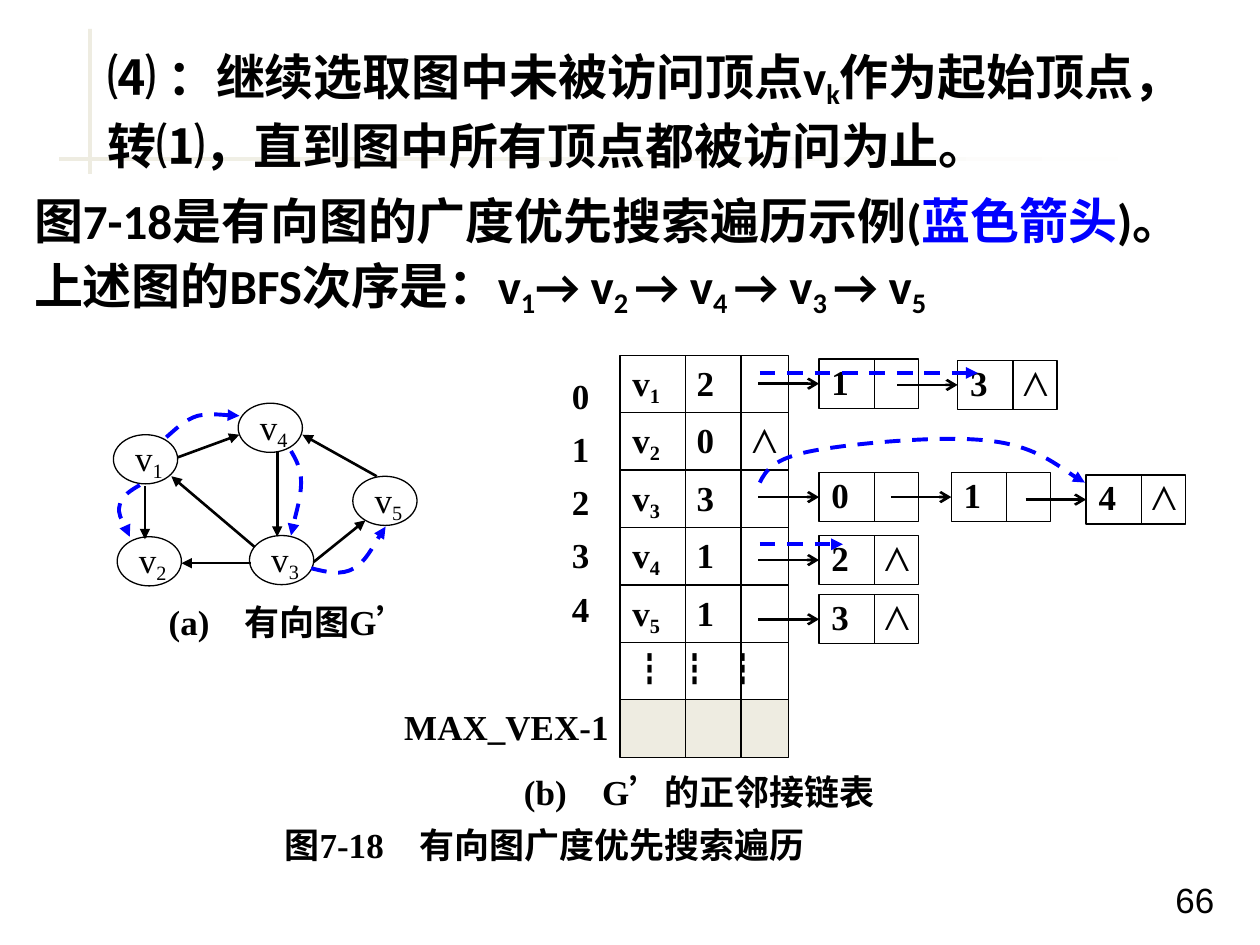
from dataclasses import dataclass
from typing import Optional

from lxml import etree
from pptx import Presentation
from pptx import util as u
from pptx.dml.color import RGBColor
from pptx.enum import dml, shapes, text
from pptx.oxml.ns import qn

BLACK = RGBColor(0x00, 0x00, 0x00)
BLUE = RGBColor(0x00, 0x00, 0xFF)
BEIGE = RGBColor(0xEE, 0xEC, 0xE1)
WHITE = RGBColor(0xFF, 0xFF, 0xFF)
SERIF, SANS, CHINESE = "Times New Roman", "Calibri", "Noto Sans CJK SC"

TABLE_LEFT, TABLE_TOP, TABLE_WIDTH = 4.92, 2.82, 1.34
ROW_HEIGHT = 3.19 / 7
NODE_WIDTH, NODE_HEIGHT, LINK_LENGTH = 0.79, 0.39, 0.48


@dataclass
class Run:
    text: str
    font: str = SERIF
    color: RGBColor = BLACK
    bold: bool = True
    baseline: int = 0


@dataclass
class ListNode:
    left: float
    top: float
    value: str
    last: bool = False


@dataclass
class Vertex:
    left: float
    top: float
    number: str


@dataclass
class Caption:
    box: tuple
    text: str
    tab: Optional[float] = None


def write(paragraph, runs: list[Run], *, size: float = 20, spacing: float = 0.9,
          before: float = 0, indent: Optional[float] = None, tabs: tuple = ()) -> None:
    paragraph.alignment = text.PP_ALIGN.LEFT
    paragraph.line_spacing = spacing
    paragraph.space_before = u.Pt(before)
    properties = paragraph._p.get_or_add_pPr()
    if indent is not None:
        properties.set("marL", str(u.Inches(indent)))
        properties.set("indent", "0")
        etree.SubElement(properties, qn("a:buNone"))
    if tabs:
        tab_list = etree.SubElement(properties, qn("a:tabLst"))
        for position in tabs:
            etree.SubElement(tab_list, qn("a:tab"), pos=str(u.Inches(position)), algn="l")
    for item in runs:
        run = paragraph.add_run()
        run.text = item.text
        run.font.size = u.Pt(size)
        run.font.bold = item.bold
        run.font.color.rgb = item.color
        run.font.name = item.font
        run_properties = run._r.get_or_add_rPr()
        etree.SubElement(run_properties, qn("a:ea"), typeface=CHINESE)
        if item.baseline:
            run_properties.set("baseline", str(item.baseline * 1000))


def subscript(number: str, **style) -> list[Run]:
    return [Run("v", **style), Run(number, baseline=-20, **style)]


def add_text(slide, box: tuple, runs: list[Run], **style):
    text_box = slide.shapes.add_textbox(*map(u.Inches, box))
    text_box.text_frame.vertical_anchor = text.MSO_ANCHOR.MIDDLE
    text_box.text_frame.word_wrap = False
    write(text_box.text_frame.paragraphs[0], runs, **style)
    return text_box


def add_box(slide, box: tuple, kind=shapes.MSO_SHAPE.RECTANGLE, fill=None, outlined=True):
    shape = slide.shapes.add_shape(kind, *map(u.Inches, box))
    shape.shadow.inherit = False
    if fill is None:
        shape.fill.background()
    else:
        shape.fill.solid()
        shape.fill.fore_color.rgb = fill
    if outlined:
        shape.line.color.rgb = BLACK
        shape.line.width = u.Pt(0.75)
    else:
        shape.line.fill.background()
    shape.text_frame.vertical_anchor = text.MSO_ANCHOR.MIDDLE
    shape.text_frame.word_wrap = False
    return shape


def style_line(shape, color: RGBColor, width: float, tail: Optional[str], dashed: bool) -> None:
    shape.line.color.rgb = color
    shape.line.width = u.Pt(width)
    if dashed:
        shape.line.dash_style = dml.MSO_LINE.DASH
    if tail:
        etree.SubElement(shape._element.spPr.find(qn("a:ln")), qn("a:tailEnd"), type=tail)


def add_line(slide, start: tuple, end: tuple, color=BLACK, width=1.5, tail=None, dashed=False):
    line = slide.shapes.add_connector(
        shapes.MSO_CONNECTOR.STRAIGHT, *map(u.Inches, start + end))
    style_line(line, color, width, tail, dashed)
    etree.SubElement(line._element.spPr, qn("a:effectLst"))
    return line


def add_curve(slide, points: list[tuple]) -> None:
    start, *controls = [(u.Inches(x), u.Inches(y)) for x, y in points]
    builder = slide.shapes.build_freeform(*start)
    builder.add_line_segments(controls, close=False)
    shape = builder.convert_to_shape()
    segments = list(shape._element.spPr.iter(qn("a:lnTo")))
    for index in range(0, len(segments), 3):
        curve = etree.Element(qn("a:cubicBezTo"))
        segments[index].addprevious(curve)
        for segment in segments[index:index + 3]:
            curve.append(segment[0])
            segment.getparent().remove(segment)
    shape.shadow.inherit = False
    shape.fill.background()
    style_line(shape, BLUE, 2.25, "triangle", True)


def add_divider(slide, x: float, top: float, height: float) -> None:
    add_line(slide, (x, top), (x, top + height), width=0.75)


def add_list_node(slide, node: ListNode) -> None:
    shape = add_box(slide, (node.left, node.top, NODE_WIDTH, NODE_HEIGHT))
    runs = [Run(node.value)] + ([Run("\t⋀", bold=False)] if node.last else [])
    write(shape.text_frame.paragraphs[0], runs, tabs=(0.42,))
    add_divider(slide, node.left + 0.44, node.top, NODE_HEIGHT)
    middle = node.top + NODE_HEIGHT / 2
    link = add_line(slide, (node.left - LINK_LENGTH, middle), (node.left, middle), tail="arrow")
    link.end_connect(shape, 1)


def add_row(slide, index: int, runs: list[Run], tabs: tuple, fill=None) -> None:
    top = TABLE_TOP + index * ROW_HEIGHT
    shape = add_box(slide, (TABLE_LEFT, top, TABLE_WIDTH, ROW_HEIGHT), fill=fill)
    if runs:
        write(shape.text_frame.paragraphs[0], runs, tabs=tabs)
    for x in (5.44, 5.88):
        add_divider(slide, x, top, ROW_HEIGHT)


def add_vertex(slide, vertex: Vertex) -> None:
    shape = add_box(slide, (vertex.left, vertex.top, 0.51, 0.39), shapes.MSO_SHAPE.OVAL)
    write(shape.text_frame.paragraphs[0], subscript(vertex.number, bold=False))


def add_body(slide) -> None:
    slide.shapes.title._element.getparent().remove(slide.shapes.title._element)
    body = slide.placeholders[1]
    body.left, body.top, body.width, body.height = map(u.Inches, (0.17, 0.27, 9.64, 2.3))
    frame = body.text_frame
    frame.auto_size = text.MSO_AUTO_SIZE.NONE
    frame.vertical_anchor = text.MSO_ANCHOR.TOP
    write(frame.paragraphs[0], [
        Run("⑷ ：", CHINESE), Run("继续选取图中", SANS), Run("未被访问", CHINESE),
        Run("顶点v", SANS), Run("k", SANS, baseline=-18), Run("作为起始顶点", SANS),
        Run("，转⑴，直到图中所有顶点都被访问为止。", CHINESE),
    ], size=28, spacing=1.1, indent=0.58)
    order = [Run("v", SANS), Run("1", SANS, baseline=-18)]
    for number in ("2 ", "4 ", "3 ", "5"):
        order += [Run("→ v", SANS), Run(number, SANS, baseline=-18)]
    write(frame.add_paragraph(), [
        Run("图7-18是有向图的广度优先搜索遍历示例(", SANS), Run("蓝色箭头", SANS, BLUE),
        Run(")", SANS), Run("。", CHINESE), Run("上述图的BFS次序是", SANS), Run("：", CHINESE),
    ] + order, size=28, spacing=1.1, before=5.6, indent=0)


def add_adjacency_list(slide) -> None:
    for index, degree in enumerate("20311"):
        runs = subscript(str(index + 1)) + [Run("\t" + degree)]
        if degree == "0":
            runs.append(Run("\t⋀", bold=False))
        add_row(slide, index, runs, (0.51, 0.95))
    add_row(slide, 5, [Run("┇\t┇\t┇", CHINESE)], (0.36, 0.74))
    add_row(slide, 6, [], (), BEIGE)
    for node in (ListNode(6.5, 2.85, "1"), ListNode(7.6, 2.86, "3", True),
                 ListNode(6.5, 3.75, "0"), ListNode(7.55, 3.75, "1"),
                 ListNode(8.62, 3.77, "4", True), ListNode(6.5, 4.25, "2", True),
                 ListNode(6.5, 4.72, "3", True)):
        add_list_node(slide, node)
    numbers = add_text(slide, (4.44, 2.81, 0.39, 2.31), [Run("0")], spacing=1.1)
    for number in "1234":
        write(numbers.text_frame.add_paragraph(), [Run(number)], spacing=1.1, before=4)
    for y, end in ((2.96, 7.76), (4.32, 6.69)):
        add_line(slide, (6.03, y), (end, y), BLUE, 2.25, "triangle", True)
    add_curve(slide, [(6.03, 3.83), (6.08, 3.73), (6.14, 3.64), (6.44, 3.58), (6.75, 3.52),
                      (7.5, 3.45), (7.86, 3.5), (8.22, 3.54), (8.49, 3.77), (8.61, 3.83)])


def add_graph(slide) -> None:
    for vertex in (Vertex(0.9, 3.45, "1"), Vertex(0.93, 4.26, "2"), Vertex(1.98, 4.25, "3"),
                   Vertex(1.89, 3.2, "4"), Vertex(2.8, 3.78, "5")):
        add_vertex(slide, vertex)
    for start, end in (((1.15, 3.86), (1.15, 4.28)), ((2.2, 3.59), (2.2, 4.26)),
                       ((2.02, 4.34), (1.36, 3.78)), ((1.41, 3.63), (1.9, 3.45)),
                       ((1.99, 4.47), (1.44, 4.47)), ((2.99, 3.78), (2.4, 3.45)),
                       ((2.49, 4.46), (2.9, 4.13))):
        add_line(slide, start, end, tail="triangle")
    for points in (
        [(1.32, 3.47), (1.4, 3.4), (1.47, 3.33), (1.57, 3.3), (1.67, 3.28), (1.85, 3.3), (1.9, 3.3)],
        [(1.11, 3.85), (1.04, 3.89), (0.96, 3.94), (0.95, 4.01), (0.93, 4.08), (1.02, 4.22), (1.03, 4.26)],
        [(2.31, 3.58), (2.35, 3.65), (2.39, 3.72), (2.39, 3.83), (2.39, 3.94), (2.32, 4.18), (2.31, 4.25)],
        [(2.47, 4.51), (2.59, 4.54), (2.71, 4.57), (2.81, 4.51), (2.9, 4.46), (3.02, 4.23), (3.06, 4.18)],
    ):
        add_curve(slide, points)


def main() -> None:
    presentation = Presentation()
    presentation.slide_width, presentation.slide_height = u.Inches(10), u.Inches(7.5)
    slide = presentation.slides.add_slide(presentation.slide_layouts[1])
    add_box(slide, (0.7, 0.23, 0.03, 1.15), fill=BEIGE, outlined=False)
    rule = add_box(slide, (0.47, 1.25, 9, 0.03), outlined=False)
    rule.fill.gradient()
    rule.fill.gradient_angle = 0
    for stop, color, position in zip(rule.fill.gradient_stops, (BEIGE, WHITE), (0, 1)):
        stop.color.rgb = color
        stop.position = position
    body = slide.placeholders[1]._element
    body.getparent().append(body)
    add_body(slide)
    add_adjacency_list(slide)
    add_graph(slide)
    for caption in (Caption((4.06, 6.13, 3.2, 0.35), "(b)\tG’的正邻接链表", 0.62),
                    Caption((2.16, 6.55, 4.5, 0.35), "图7-18\t有向图广度优先搜索遍历", 1.07),
                    Caption((1.24, 4.78, 2.25, 0.35), "(a)\t有向图G’", 0.6),
                    Caption((3.11, 5.59, 1.9, 0.39), "MAX_VEX-1")):
        add_text(slide, caption.box, [Run(caption.text)], tabs=(caption.tab,) if caption.tab else ())
    add_text(slide, (9.23, 6.96, 0.78, 0.4), [Run("66", "Arial", bold=False)])
    presentation.save("out.pptx")


if __name__ == "__main__":
    main()
